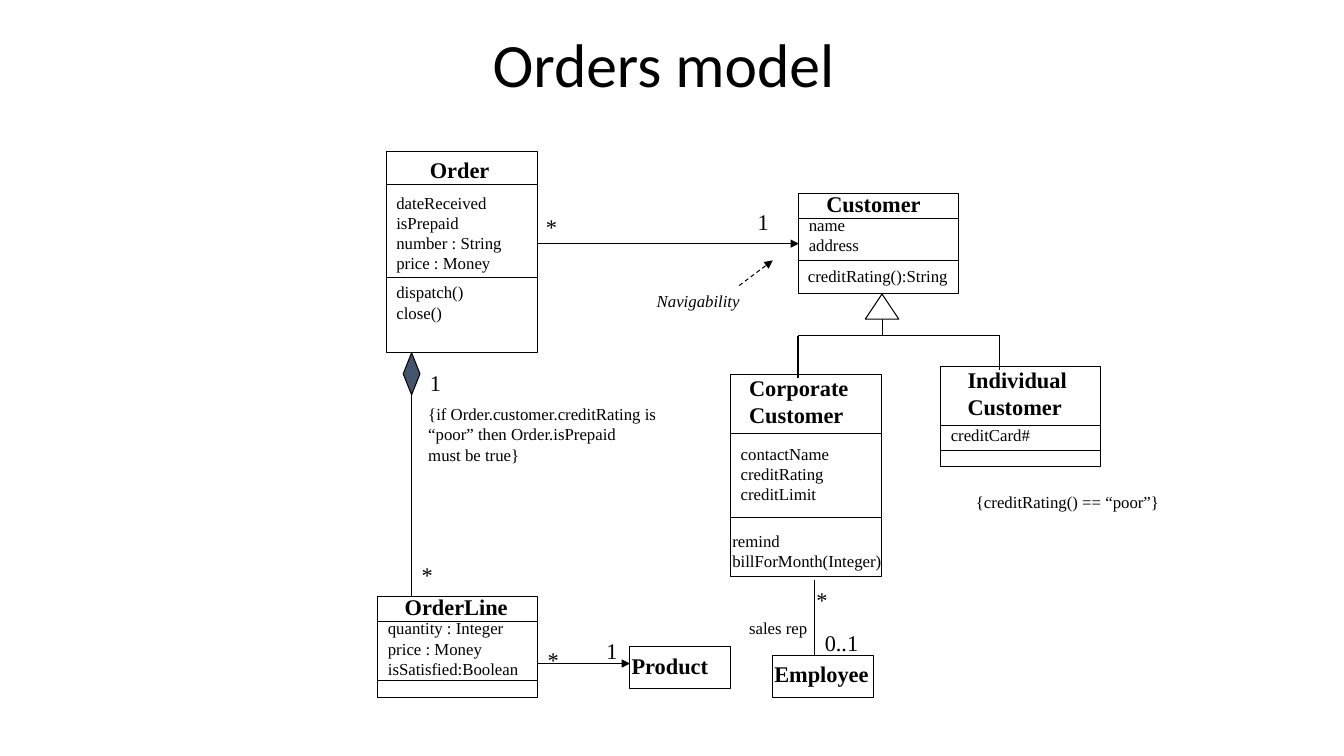
from lxml import etree
from pptx import Presentation
from pptx.dml.color import RGBColor
from pptx.enum.dml import MSO_LINE
from pptx.enum.shapes import MSO_CONNECTOR, MSO_SHAPE
from pptx.enum.text import MSO_ANCHOR, MSO_AUTO_SIZE, PP_ALIGN
from pptx.oxml.ns import qn
from pptx.util import Inches, Pt

BLACK = RGBColor(0x00, 0x00, 0x00)
WHITE = RGBColor(0xFF, 0xFF, 0xFF)
SLATE = RGBColor(0x44, 0x54, 0x6A)
RECT, TRIANGLE = MSO_SHAPE.RECTANGLE, MSO_SHAPE.ISOSCELES_TRIANGLE
DECISION = MSO_SHAPE.FLOWCHART_DECISION
STRAIGHT, DASH = MSO_CONNECTOR.STRAIGHT, MSO_LINE.DASH
FIT, MIDDLE, CENTER = MSO_AUTO_SIZE.SHAPE_TO_FIT_TEXT, MSO_ANCHOR.MIDDLE, PP_ALIGN.CENTER
SERIF = "Times New Roman"
NAME = {"size": Pt(16), "name": SERIF, "bold": True}
MEMBER = {"size": Pt(12), "name": SERIF}
MULTIPLICITY = {"size": Pt(16), "name": SERIF}
ITALIC = {"size": Pt(12), "name": SERIF, "italic": True}
HEADING = {"size": Pt(44), "name": "Calibri"}

prs = Presentation()
prs.slide_width, prs.slide_height = Inches(13.333), Inches(7.5)
CELL = prs.slide_height / 90  # the slide is 160 columns by 90 rows
s = prs.slides.add_slide(prs.slide_layouts[6])


def grid(*cells):
    """Turn columns and rows into slide lengths."""
    return [round(c * CELL) for c in cells]


def add_text(shapes, x, y, w, lines, style):
    """Text box w columns wide, as tall as its lines need."""
    h = 1.2 + len(lines) * style["size"].pt * 0.2
    tb = shapes.add_textbox(*grid(x, y, w, h))
    tf = tb.text_frame
    tf.word_wrap, tf.auto_size = False, FIT
    for i, line in enumerate(lines):
        p = tf.paragraphs[0] if i == 0 else tf.add_paragraph()
        r = p.add_run()
        r.text = line
        r.font.color.rgb = BLACK
        for key, value in style.items():
            setattr(r.font, key, value)
    return tb


heading = add_text(s.shapes, 28, 0, 102, ["Orders model"], HEADING)
tf = heading.text_frame
tf.word_wrap, tf.auto_size, tf.vertical_anchor = True, MSO_AUTO_SIZE.NONE, MIDDLE
tf.paragraphs[0].alignment = CENTER
heading.height = grid(15)[0]

# Class box, rows of its dividers, texts as (x, y, width, lines, style)
classes = {
    "Order": ((46, 18, 18, 24), (22, 33), [
        (50, 18, 9.6, ["Order"], NAME),
        (46, 22.3, 15.1, ["dateReceived", "isPrepaid", "number : String", "price : Money"], MEMBER),
        (46, 33, 10.4, ["dispatch()", "close()"], MEMBER)]),
    "Corporate": ((87, 44.6, 18, 24), (51.6, 61.6), [
        (88, 44, 14.3, ["Corporate", "Customer"], NAME),
        (87, 52.2, 13.1, ["contactName", "creditRating", "creditLimit"], MEMBER),
        (86, 62.6, 20.3, ["remind", "billForMonth(Integer)"], MEMBER)]),
    "Customer": ((95.1, 23, 19, 12), (26, 31), [
        (97.2, 22, 13.7, ["Customer"], NAME),
        (95.1, 25, 8.4, ["name", "address"], MEMBER),
        (95, 31, 19.2, ["creditRating():String"], MEMBER)]),
    "OrderLine": ((45, 71, 19, 12), (74, 81), [
        (47, 70, 14.8, ["OrderLine"], NAME),
        (45, 73, 18.2, ["quantity : Integer", "price : Money", "isSatisfied:Boolean"], MEMBER)]),
    "Individual": ((112, 43.6, 19, 12), (50.6, 53.6), [
        (114, 43, 14.4, ["Individual", "Customer"], NAME),
        (112, 50, 11.9, ["creditCard#"], MEMBER)]),
    "Employee": ((92, 78, 12, 5), (), [(91, 78, 13.7, ["Employee"], NAME)]),
    "Product": ((75, 77, 12, 5), (), [(74, 77, 11.6, ["Product"], NAME)]),
}
outlined, connectors, boxes = [], [], {}
for name, (box, dividers, texts) in classes.items():
    shapes = s.shapes.add_group_shape().shapes
    boxes[name] = shapes.add_shape(RECT, *grid(*box))
    outlined.append((boxes[name], WHITE))
    for y in dividers:
        connectors.append((shapes.add_connector(STRAIGHT, *grid(box[0], y, box[0] + box[2], y)), False))
    for text in texts:
        add_text(shapes, *text)

# Relations: x1, y1, x2, y2, arrowhead
relations = [
    (64, 29, 95, 29, True),
    (105, 38, 105, 40, False),
    (95, 40, 119, 40, False),
    (95, 40, 95, 45, False),
    (119, 40, 119, 44, False),
    (49, 47, 49, 71, False),
    (64, 79, 75, 79, True),
    (97, 69, 97, 78, False),
    (88, 34, 92, 31, True),
]
links = [s.shapes.add_connector(STRAIGHT, *grid(*ends)) for *ends, _ in relations]
links[0].end_connect(boxes["Customer"], 1)
connectors += [(link, relation[-1]) for link, relation in zip(links, relations)]

generalization = s.shapes.add_shape(TRIANGLE, *grid(103, 35, 4, 3))
composition = s.shapes.add_shape(DECISION, *grid(46.5, 43.5, 5, 2))
composition.rotation = 270
outlined += [(generalization, WHITE), (composition, SLATE)]

for sp, color in outlined:
    sp.shadow.inherit = False
    sp.fill.solid()
    sp.fill.fore_color.rgb = color
    sp.line.color.rgb, sp.line.width = BLACK, Pt(0.75)

for link, arrow in connectors:
    link.line.color.rgb, link.line.width = BLACK, Pt(0.75)
    if link is links[-1]:
        link.line.dash_style = DASH
    if arrow:
        etree.SubElement(link.line._get_or_add_ln(), qn("a:tailEnd"), type="triangle")
    etree.SubElement(link._element.spPr, qn("a:effectLst"))

for x, y, mark in [(63.8, 24.8, "*"), (89, 24.2, "1"), (49, 66.2, "*"), (50, 43.3, "1"),
                   (64, 76.3, "*"), (71, 75.2, "1"), (96, 69.2, "*"), (97, 74.3, "0..1")]:
    add_text(s.shapes, x, y, 3.7 if len(mark) == 1 else 6.4, [mark], MULTIPLICITY)

add_text(s.shapes, 88, 73, 9.4, ["sales rep"], MEMBER)
add_text(s.shapes, 115, 58, 24.4, ["{creditRating() == “poor”}"], MEMBER)
add_text(s.shapes, 49.8, 47.5, 30, ["{if Order.customer.creditRating is",
                                    "“poor” then Order.isPrepaid", "must be true}"], MEMBER)
add_text(s.shapes, 77, 34, 12.4, ["Navigability"], ITALIC)

prs.save("out.pptx")
